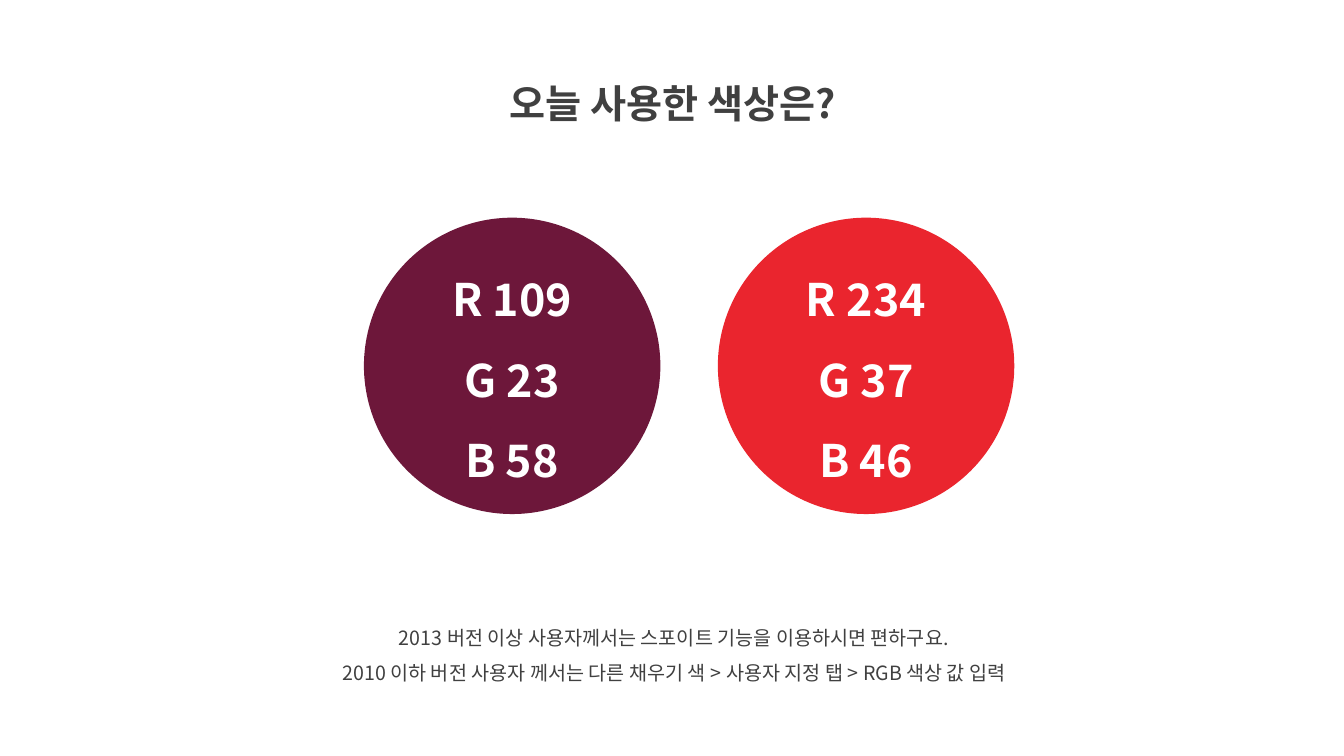
from dataclasses import dataclass

from lxml.etree import SubElement
from pptx import Presentation
from pptx.dml.color import RGBColor
from pptx.enum.shapes import MSO_SHAPE as Preset
from pptx.enum.text import MSO_ANCHOR as Anchor, MSO_AUTO_SIZE as AutoSize, PP_ALIGN as Align
from pptx.oxml.ns import qn
from pptx.slide import Slide
from pptx.text.text import TextFrame
from pptx.util import Inches, Pt

FONT = "Noto Sans CJK KR"
GRAY = "404040"
WHITE = "FFFFFF"
SWATCH_SIZE = 2.94
SWATCH_TOP = 2.16
SWATCH_LEFT = 3.61
SWATCH_STEP = 3.51


@dataclass
class Swatch:
    red: int
    green: int
    blue: int

    @property
    def fill(self) -> str:
        return f"{self.red:02X}{self.green:02X}{self.blue:02X}"

    @property
    def label(self) -> str:
        return f"R {self.red}\nG {self.green}\nB {self.blue}"


SWATCHES = [Swatch(109, 23, 58), Swatch(234, 37, 46)]


def color(value: str) -> RGBColor:
    return RGBColor.from_string(value)


def write(frame: TextFrame, text: str, size: int, ink: str, bold: bool, anchor: Anchor) -> None:
    frame.text = text
    frame.word_wrap = True
    frame.vertical_anchor = anchor
    for paragraph in frame.paragraphs:
        paragraph.alignment = Align.CENTER
        paragraph.line_spacing = 1.5
        for run in paragraph.runs:
            run.font.name = FONT
            run.font.size = Pt(size)
            run.font.bold = bold
            run.font.color.rgb = color(ink)
            SubElement(run.font._element, qn("a:ea"), typeface=FONT)


def add_heading(slide: Slide) -> None:
    heading = slide.shapes.title
    heading.left, heading.top = Inches(4.36), Inches(0.5)
    heading.width, heading.height = Inches(4.63), Inches(0.72)
    write(heading.text_frame, "오늘 사용한 색상은?", 28, GRAY, True, Anchor.TOP)
    heading.text_frame.auto_size = AutoSize.SHAPE_TO_FIT_TEXT


def add_swatch(slide: Slide, swatch: Swatch, left: float) -> None:
    circle = slide.shapes.add_shape(
        Preset.OVAL, Inches(left), Inches(SWATCH_TOP), Inches(SWATCH_SIZE), Inches(SWATCH_SIZE)
    )
    circle.shadow.inherit = False
    circle.fill.solid()
    circle.fill.fore_color.rgb = color(swatch.fill)
    circle.line.fill.background()
    write(circle.text_frame, swatch.label, 32, WHITE, True, Anchor.MIDDLE)


def add_usage_hint(slide: Slide) -> None:
    hint = slide.shapes.add_textbox(Inches(2.69), Inches(6.04), Inches(7.99), Inches(0.81))
    text = (
        "2013 버전 이상 사용자께서는 스포이트 기능을 이용하시면 편하구요.\n"
        "2010 이하 버전 사용자 께서는 다른 채우기 색 > 사용자 지정 탭 > RGB 색상 값 입력"
    )
    write(hint.text_frame, text, 14, GRAY, False, Anchor.TOP)
    hint.text_frame.auto_size = AutoSize.SHAPE_TO_FIT_TEXT


def main() -> None:
    deck = Presentation()
    deck.slide_width, deck.slide_height = Inches(13.33), Inches(7.5)
    slide = deck.slides.add_slide(deck.slide_layouts[5])
    add_heading(slide)
    add_usage_hint(slide)
    for index, swatch in enumerate(SWATCHES):
        add_swatch(slide, swatch, SWATCH_LEFT + index * SWATCH_STEP)
    deck.save("out.pptx")


if __name__ == "__main__":
    main()
